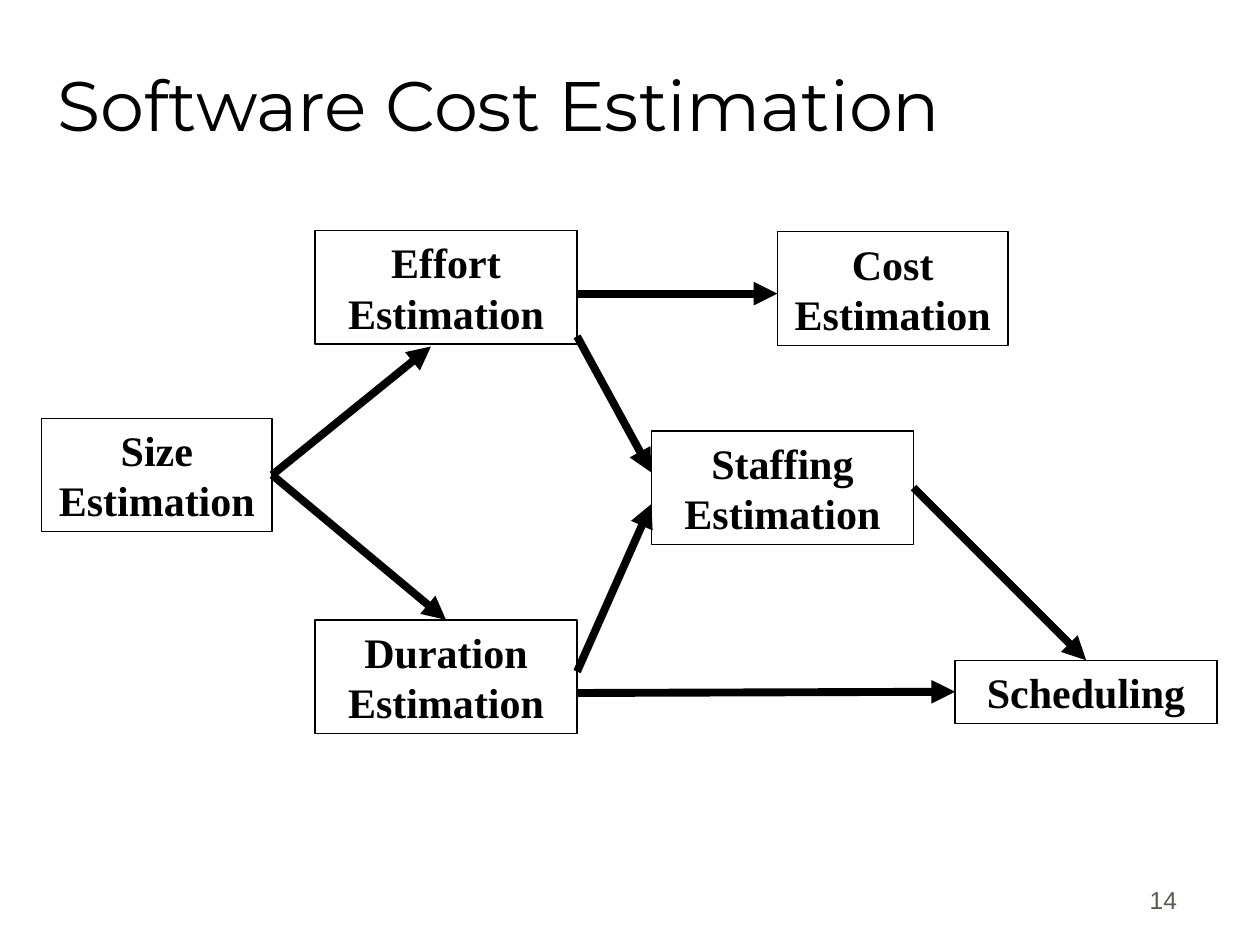
"""Builds the software cost estimation flow slide."""
from pptx import Presentation
from pptx.dml.color import RGBColor
from pptx.enum import shapes, text
from pptx.oxml.ns import qn
from pptx.util import Inches, Pt
from lxml import etree

TITLE = "Software Cost Estimation"
PAGE = "14"
INK = {"black": "000000", "grey": "5E574E"}
BOXES = {
    "size": ("Size Estimation", 0.33, 3.32, 1.83, 0.9),
    "effort": ("Effort Estimation", 2.5, 1.83, 2.08, 0.9),
    "cost": ("Cost Estimation", 6.17, 1.84, 1.83, 0.9),
    "time": ("Duration Estimation", 2.5, 4.92, 2.08, 0.9),
    "staff": ("Staffing Estimation", 5.17, 3.42, 2.08, 0.9),
    "plan": ("Scheduling", 7.58, 5.24, 2.08, 0.5),
}
TOP, LEFT, RIGHT = 0, 1, 3
ARROWS = [
    ((2.17, 3.75), (3.42, 2.75), ("size", RIGHT), None),
    ((2.17, 3.75), (3.5, 4.92), ("size", RIGHT), ("time", TOP)),
    ((4.58, 2.33), (6.17, 2.33), None, None),
    ((4.58, 2.67), (5.17, 3.75), None, None),
    ((4.58, 5.33), (5.17, 4), None, None),
    ((4.58, 5.5), (7.58, 5.5), None, ("plan", LEFT)),
    ((7.25, 3.83), (8.58, 5.25), ("staff", RIGHT), ("plan", TOP)),
]


def tint(name):
    return RGBColor.from_string(INK[name])


def place(shape, *spot):
    shape.left, shape.top, shape.width, shape.height = map(Inches, spot)


def write(shape, words, size, face, align, anchor, color="black", bold=False):
    frame = shape.text_frame
    frame.text = words
    frame.word_wrap = True
    frame.auto_size = text.MSO_AUTO_SIZE.NONE
    frame.vertical_anchor = anchor
    para = frame.paragraphs[0]
    para.alignment = align
    font = para.runs[0].font
    font.size, font.name, font.bold = Pt(size), face, bold
    font.color.rgb = tint(color)


def add_box(slide, words, *spot):
    box = slide.shapes.add_shape(shapes.MSO_SHAPE.RECTANGLE, *map(Inches, spot))
    box.shadow.inherit = False
    box.fill.background()
    box.line.color.rgb = tint("black")
    box.line.width = Pt(0.75)
    write(box, words, 24, "Times New Roman", text.PP_ALIGN.CENTER,
          text.MSO_ANCHOR.TOP, bold=True)
    return box


def add_arrow(slide, boxes, start, end, tail, head):
    arrow = slide.shapes.add_connector(
        shapes.MSO_CONNECTOR.STRAIGHT, *map(Inches, start + end))
    if tail:
        arrow.begin_connect(boxes[tail[0]], tail[1])
    if head:
        arrow.end_connect(boxes[head[0]], head[1])
    arrow.line.color.rgb = tint("black")
    arrow.line.width = Pt(4.5)
    etree.SubElement(arrow.line._get_or_add_ln(), qn("a:tailEnd"), type="triangle")
    etree.SubElement(arrow._element.spPr, qn("a:effectLst"))


def main():
    deck = Presentation()
    deck.slide_width, deck.slide_height = Inches(10), Inches(7.5)
    slide = deck.slides.add_slide(deck.slide_layouts[5])
    boxes = {key: add_box(slide, *box) for key, box in BOXES.items()}
    for arrow in ARROWS:
        add_arrow(slide, boxes, *arrow)

    title = slide.shapes.title
    place(title, 0.44, 0.2, 8.5, 1.25)
    write(title, TITLE, 40, "Montserrat", text.PP_ALIGN.LEFT, text.MSO_ANCHOR.MIDDLE)
    title.text_frame.margin_left = title.text_frame.margin_right = Inches(0.02)

    page = slide.shapes.add_textbox(*map(Inches, (7.36, 6.81, 2.08, 0.5)))
    write(page, PAGE, 14, "Arial", text.PP_ALIGN.RIGHT, text.MSO_ANCHOR.BOTTOM, "grey")
    deck.save("out.pptx")


if __name__ == "__main__":
    main()
